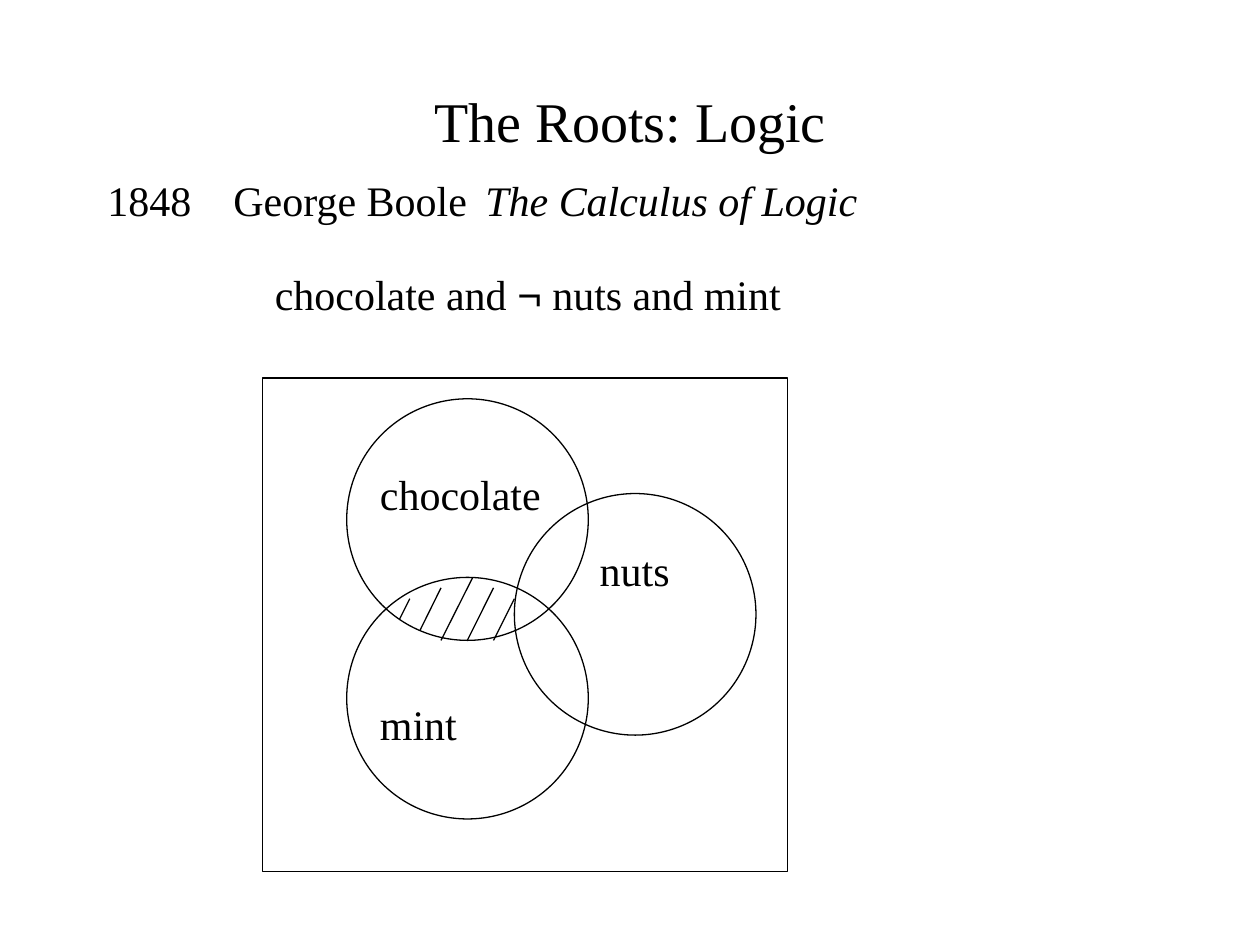
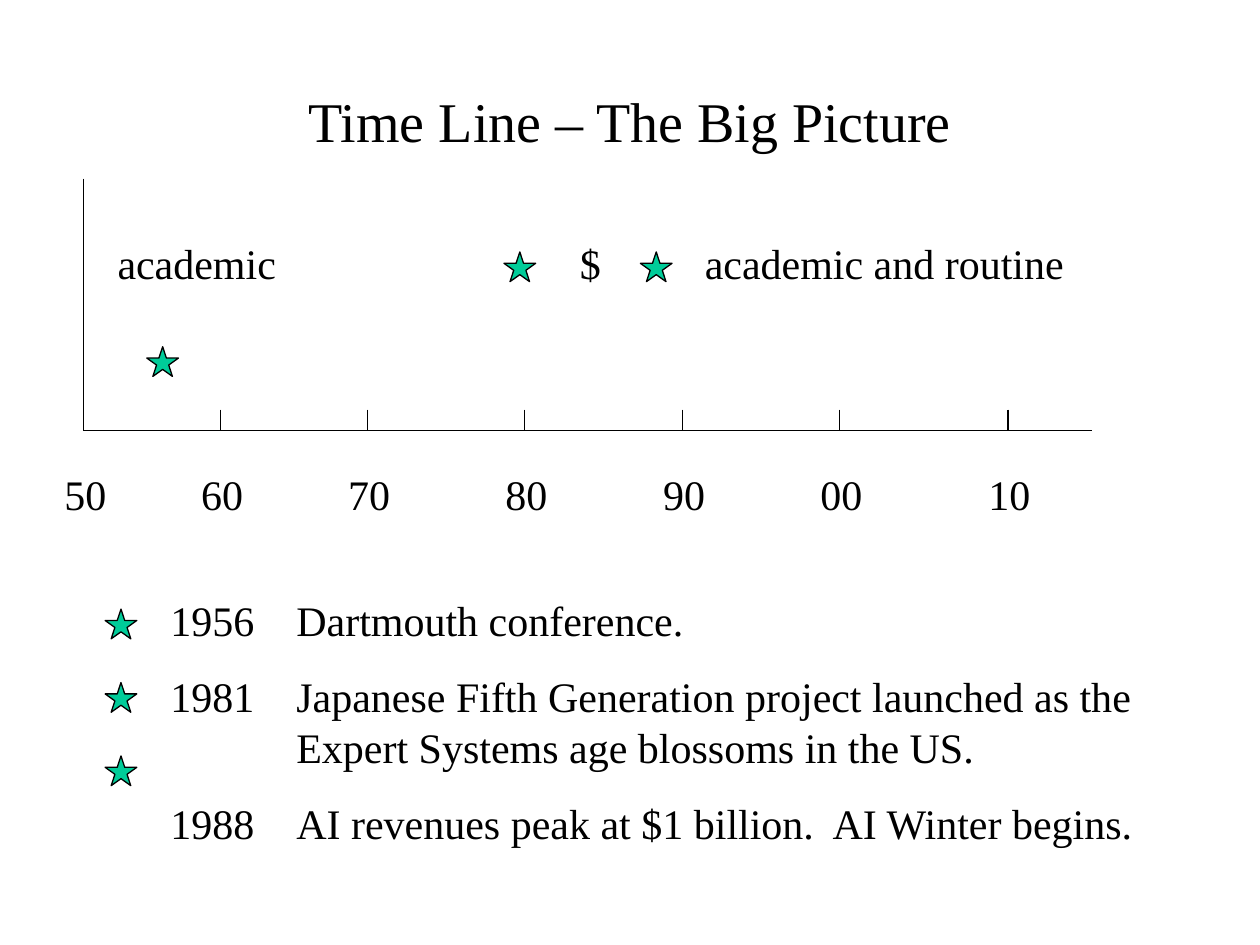
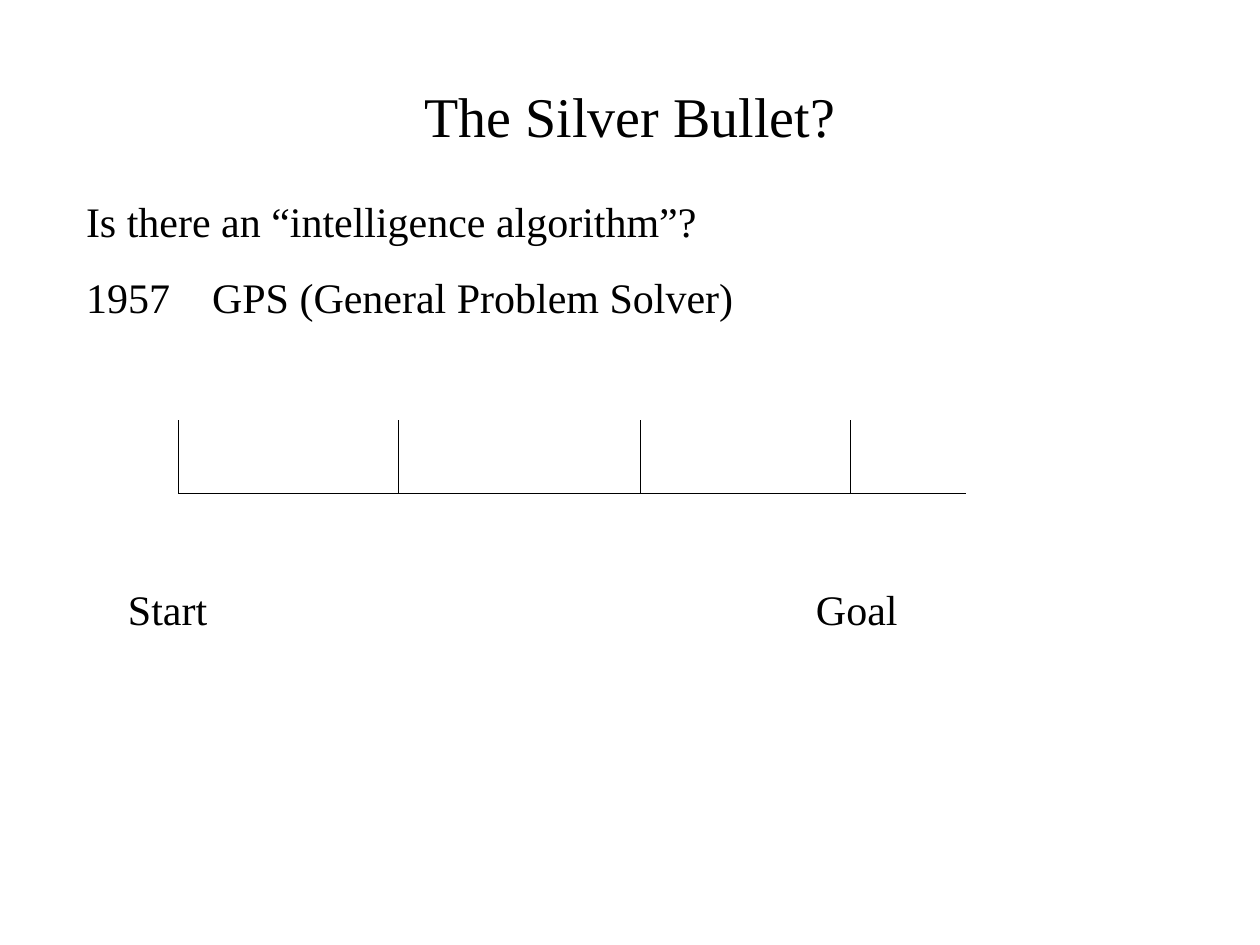
from dataclasses import dataclass, field

import pptx
import pptx.dml.color
import pptx.enum.shapes
import pptx.enum.text
import pptx.oxml.ns
import pptx.util
from lxml import etree

Cm = pptx.util.Cm
Pt = pptx.util.Pt
ALIGN = pptx.enum.text.PP_ALIGN
SHAPES = pptx.enum.shapes.MSO_SHAPE

# Shared look
BLACK = "000000"
STAR_GREEN = "00CC99"
SERIF = "Times New Roman"
TITLE_SIZE, TEXT_SIZE = 32, 24
LINE_FACTOR = 1.2
LINE_WIDTH = 0.75
PARAGRAPH_GAP = 15
LABEL_HEIGHT = 1.27


@dataclass(frozen=True)
class Box:
    left: float
    top: float
    width: float
    height: float

    def lengths(self) -> tuple:
        return tuple(Cm(v) for v in (self.left, self.top, self.width, self.height))


@dataclass(frozen=True)
class Span:
    text: str
    formats: dict = field(default_factory=dict)


@dataclass(frozen=True)
class Style:
    size: float = TEXT_SIZE
    align: ALIGN = ALIGN.LEFT
    margin: float = 0
    first_line: float = 0
    tabs: tuple = ()


@dataclass(frozen=True)
class Label:
    text: str
    left: float
    top: float
    width: float


@dataclass(frozen=True)
class Segment:
    x1: float
    y1: float
    x2: float
    y2: float


TITLE_STYLE = Style(size=TITLE_SIZE, align=ALIGN.CENTER)
TITLE_BOX = Box(1.91, 1.69, 21.59, 1.48)


def rgb(value: str) -> pptx.dml.color.RGBColor:
    return pptx.dml.color.RGBColor.from_string(value)


# Text
def set_all(target, values: dict) -> None:
    for name, value in values.items():
        setattr(target, name, value)


def set_indents(paragraph, style: Style) -> None:
    properties = paragraph._p.get_or_add_pPr()
    properties.set("marL", str(Cm(style.margin)))
    properties.set("indent", str(Cm(style.first_line)))
    etree.SubElement(properties, pptx.oxml.ns.qn("a:buNone"))
    if style.tabs:
        stops = etree.SubElement(properties, pptx.oxml.ns.qn("a:tabLst"))
        for position in style.tabs:
            etree.SubElement(stops, pptx.oxml.ns.qn("a:tab"),
                             pos=str(Cm(position)), algn="l")


def write(frame, paragraphs: list, style: Style, anchor) -> None:
    set_all(frame, {
        "word_wrap": True,
        "auto_size": pptx.enum.text.MSO_AUTO_SIZE.NONE,
        "vertical_anchor": anchor,
    })
    for index, spans in enumerate(paragraphs):
        paragraph = frame.add_paragraph() if index else frame.paragraphs[0]
        set_indents(paragraph, style)
        set_all(paragraph, {
            "alignment": style.align,
            "line_spacing": Pt(style.size * LINE_FACTOR),
            "space_before": Pt(PARAGRAPH_GAP if index else 0),
        })
        for span in spans:
            run = paragraph.add_run()
            run.text = span.text
            set_all(run.font, {"name": SERIF, "size": Pt(style.size), **span.formats})
            run.font.color.rgb = rgb(BLACK)


def place(shape, box: Box) -> None:
    set_all(shape, dict(zip(("left", "top", "width", "height"), box.lengths())))


def add_page(deck, title: str, body: list, body_box: Box, body_style: Style,
             title_box: Box = TITLE_BOX):
    slide = deck.slides.add_slide(deck.slide_layouts[1])
    heading, content = slide.shapes.title, slide.placeholders[1]
    place(heading, title_box)
    write(heading.text_frame, [[Span(title)]], TITLE_STYLE,
          pptx.enum.text.MSO_ANCHOR.MIDDLE)
    place(content, body_box)
    write(content.text_frame, body, body_style, pptx.enum.text.MSO_ANCHOR.TOP)
    return slide


def add_text(slide, spans: list, box: Box, style: Style = Style()) -> None:
    frame = slide.shapes.add_textbox(*box.lengths()).text_frame
    write(frame, [spans], style, pptx.enum.text.MSO_ANCHOR.TOP)


def add_labels(slide, labels: list, style: Style = Style()) -> None:
    for label in labels:
        box = Box(label.left, label.top, label.width, LABEL_HEIGHT)
        add_text(slide, [Span(label.text)], box, style)


# Drawing
def add_figure(slide, kind, box: Box, fill: str = "") -> None:
    figure = slide.shapes.add_shape(kind, *box.lengths())
    figure.shadow.inherit = False
    if fill:
        figure.fill.solid()
        figure.fill.fore_color.rgb = rgb(fill)
    else:
        figure.fill.background()
    figure.line.color.rgb = rgb(BLACK)
    figure.line.width = Pt(LINE_WIDTH)


def add_lines(slide, segments: list) -> None:
    for segment in segments:
        line = slide.shapes.add_connector(
            pptx.enum.shapes.MSO_CONNECTOR.STRAIGHT,
            Cm(segment.x1), Cm(segment.y1), Cm(segment.x2), Cm(segment.y2))
        line.line.color.rgb = rgb(BLACK)
        line.line.width = Pt(LINE_WIDTH)
        etree.SubElement(line._element.spPr, pptx.oxml.ns.qn("a:effectLst"))


# Slide 1: Venn diagram
def build_logic(deck) -> None:
    source = [Span("1848\tGeorge Boole\t"),
              Span("The Calculus of Logic", {"italic": True})]
    slide = add_page(deck, "The Roots: Logic", [source],
                     Box(1.91, 3.39, 22.23, LABEL_HEIGHT), Style(tabs=(2.12, 7.47)))
    formula = [Span("chocolate and "), Span("¬", {"name": "Arial"}),
               Span(" nuts and mint")]
    add_text(slide, formula, Box(5.29, 5.29, 12.7, LABEL_HEIGHT))

    add_figure(slide, SHAPES.RECTANGLE, Box(5.29, 7.62, 10.58, 9.95))
    diameter = 4.87
    for left, top in ((6.99, 8.04), (10.37, 9.95), (6.99, 11.64)):
        add_figure(slide, SHAPES.OVAL, Box(left, top, diameter, diameter))

    label_top, row = 9.31, 1.55
    add_labels(slide, [
        Label("chocolate", 7.41, label_top, 4.2),
        Label("nuts", 11.84, label_top + row, 3),
        Label("mint", 7.41, label_top + 3 * row, 3),
    ])
    add_lines(slide, [
        Segment(8.26, 12.07, 8.05, 12.49),
        Segment(8.89, 11.85, 8.47, 12.7),
        Segment(9.53, 11.64, 8.89, 12.91),
        Segment(9.95, 11.85, 9.42, 12.91),
        Segment(10.37, 12.07, 9.95, 12.91),
    ])


# Slide 2: time line
def build_time_line(deck) -> None:
    events = [
        "1956\tDartmouth conference.",
        "1981\tJapanese Fifth Generation project launched as the "
        "Expert Systems age blossoms in the US.",
        "1988\tAI revenues peak at $1 billion.  AI Winter begins.",
    ]
    slide = add_page(deck, "Time Line – The Big Picture",
                     [[Span(event)] for event in events],
                     Box(0.64, 11.85, 23.71, 5.38),
                     Style(margin=5.08, first_line=-2.54, tabs=(5.08,)))

    decades = {"50": 1.69, "60": 4.45, "70": 7.41, "80": 10.58,
               "90": 13.76, "00": 16.93, "10": 20.32}
    axis_left, axis_y, tick = decades["50"], 8.68, 0.42
    add_lines(slide, [Segment(axis_left, 3.6, axis_left, axis_y),
                      Segment(axis_left, axis_y, 22.01, axis_y)])
    add_lines(slide, [Segment(x, axis_y - tick, x, axis_y)
                      for x in decades.values() if x > axis_left])

    width = 2
    add_labels(slide, [Label(decade, x + 0.03 - width / 2, 9.31, width)
                       for decade, x in decades.items()],
               Style(align=ALIGN.CENTER))
    era_top = 4.66
    add_labels(slide, [
        Label("academic", 2.12, era_top, 4.5),
        Label("$", 11.44, era_top, 1.2),
        Label("academic and routine", 13.96, era_top, 9),
    ])

    era_stars = [(2.96, 6.99), (10.16, 5.08), (12.91, 5.08)]
    list_stars = [(2.12, 12.28 + 1.48 * row) for row in range(3)]
    for left, top in era_stars + list_stars:
        add_figure(slide, SHAPES.STAR_5_POINT, Box(left, top, 0.64, 0.6), STAR_GREEN)


# Slide 3: problem solver
def build_silver_bullet(deck) -> None:
    body = [[Span("Is there an “intelligence algorithm”?")],
            [Span("1957\tGPS (General Problem Solver)")]]
    slide = add_page(deck, "The Silver Bullet?", body,
                     Box(1.48, 3.81, 22.23, 4.37), Style(tabs=(5.08,)),
                     Box(1.91, 1.69, 21.59, 1.27))
    states = (3.6, 8.04, 12.91, 17.15)
    path_y = 9.95
    add_lines(slide, [Segment(x, 8.47, x, path_y) for x in states])
    add_lines(slide, [Segment(states[0], path_y, 19.47, path_y)])
    add_labels(slide, [Label("Start", 2.33, 11.64, 3), Label("Goal", 16.2, 11.64, 3)])


def main() -> None:
    deck = pptx.Presentation()
    deck.slide_width, deck.slide_height = Cm(25.4), Cm(19.05)
    for build in (build_logic, build_time_line, build_silver_bullet):
        build(deck)
    deck.save("out.pptx")


if __name__ == "__main__":
    main()
